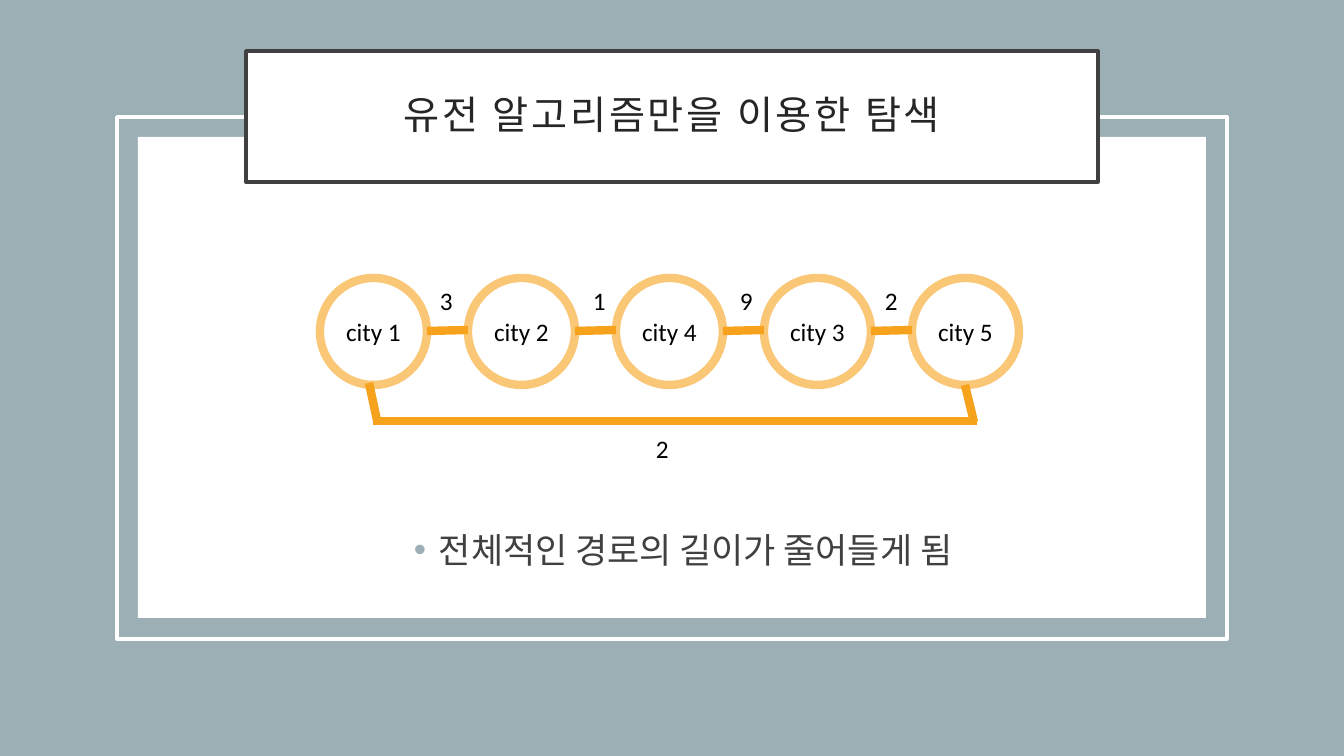
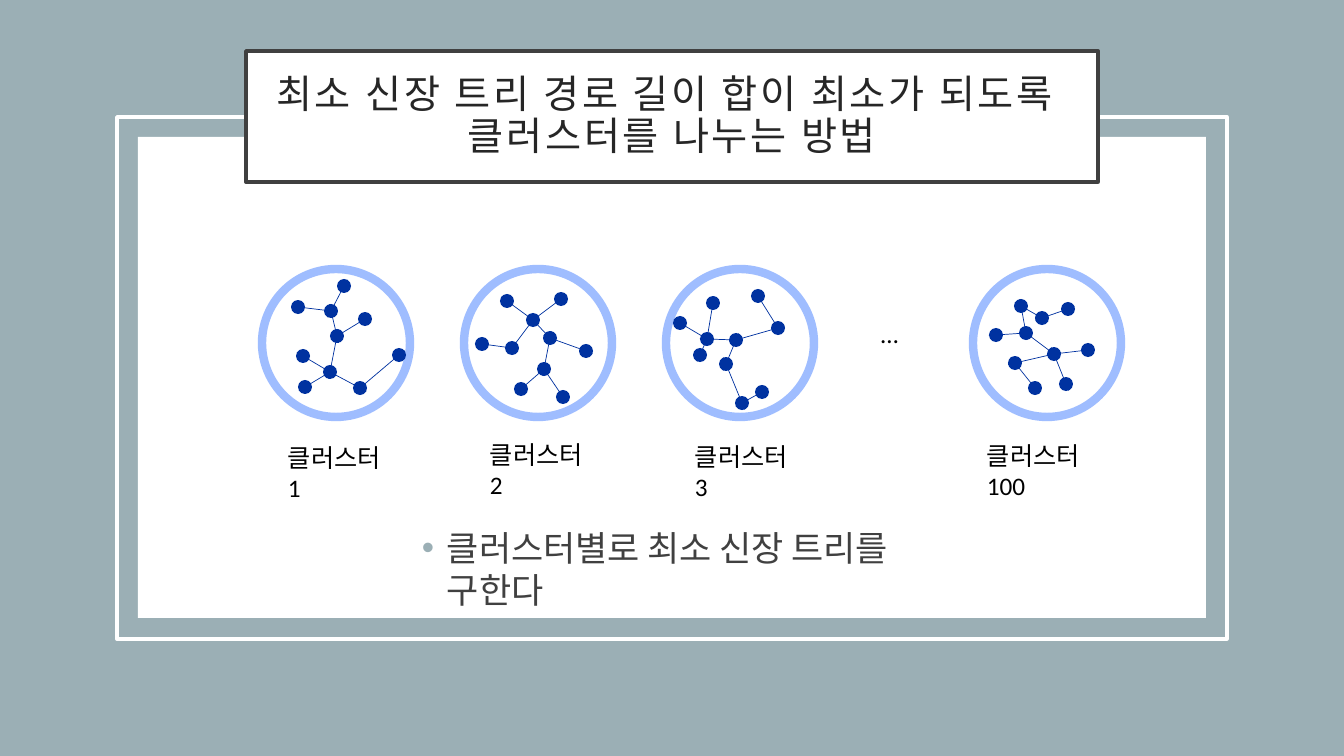
from math import hypot
from pptx import Presentation
from pptx.dml.color import RGBColor
from pptx.enum.shapes import MSO_CONNECTOR, MSO_SHAPE
from pptx.enum.text import MSO_ANCHOR, PP_ALIGN
from pptx.oxml.ns import qn
from pptx.util import Pt
from lxml.etree import SubElement

SCALE = 914400 / 100.8
FONT = "Calibri"
BACK, WHITE, BLACK = "9BAFB5", "FFFFFF", "000000"
FRAME, HEAD, BODY = "404040", "262626", "404040"
RING, ROAD = "FAC777", "F6A21D"
RIM, NAVY = "9FBDFF", "0032A0"


def px(num):
    return round(num * SCALE)


def rgb(code):
    return RGBColor.from_string(code)


def write(frame, text, size=18, color=BLACK, align=PP_ALIGN.LEFT,
          anchor=MSO_ANCHOR.TOP, wrap=True, inset=None, space=None,
          track=None, bullet=None):
    frame.word_wrap = wrap
    frame.vertical_anchor = anchor
    if inset is not None:
        frame.margin_left = frame.margin_right = px(inset)
        frame.margin_top = frame.margin_bottom = px(inset)
    para = frame.paragraphs[0]
    para.text = text
    para.alignment = align
    if space:
        para.line_spacing = space
    for run in para.runs:
        run.font.name = FONT
        run.font.size = Pt(size)
        run.font.color.rgb = rgb(color)
        if track:
            run.font._element.set("spc", str(track * 100))
    if bullet:
        para.space_before = Pt(10)
        props = para._p.get_or_add_pPr()
        props.set("marL", str(px(25)))
        props.set("indent", str(px(-25)))
        tint = SubElement(props, qn("a:buClr"))
        SubElement(tint, qn("a:srgbClr")).set("val", bullet)
        SubElement(props, qn("a:buFont")).set("typeface", "Arial")
        SubElement(props, qn("a:buChar")).set("char", "•")


class Deck:
    def __init__(self):
        self.file = Presentation()
        self.file.slide_width = px(1344)
        self.file.slide_height = px(756)
        self.slide = None

    def start(self, title):
        """Add a slide with its backdrop, frame and title box."""
        self.slide = self.file.slides.add_slide(self.file.slide_layouts[6])
        self.shape(0, 0, 1344, 756, fill=BACK)
        self.shape(138, 137, 1068, 481, fill=WHITE)
        self.shape(117, 117, 1110, 522, line=WHITE, width=2.5)
        box = self.shape(246, 51, 852, 131, fill=WHITE, line=FRAME, width=2.5)
        write(box.text_frame, title, size=28, color=HEAD, inset=20,
              align=PP_ALIGN.CENTER, anchor=MSO_ANCHOR.MIDDLE,
              space=0.9, track=2)

    def shape(self, x, y, w, h, kind=MSO_SHAPE.RECTANGLE, fill=None,
              line=None, width=1):
        item = self.slide.shapes.add_shape(kind, px(x), px(y), px(w), px(h))
        item.shadow.inherit = False
        if fill:
            item.fill.solid()
            item.fill.fore_color.rgb = rgb(fill)
        else:
            item.fill.background()
        if line:
            item.line.color.rgb = rgb(line)
            item.line.width = Pt(width)
        else:
            item.line.fill.background()
        return item

    def disc(self, x, y, size, **look):
        return self.shape(x, y, size, size, kind=MSO_SHAPE.OVAL, **look)

    def line(self, x1, y1, x2, y2, color, width):
        item = self.slide.shapes.add_connector(
            MSO_CONNECTOR.STRAIGHT, px(x1), px(y1), px(x2), px(y2))
        item.line.color.rgb = rgb(color)
        item.line.width = Pt(width)
        SubElement(item._element.spPr, qn("a:effectLst"))

    def label(self, x, y, w, h, text, **form):
        box = self.slide.shapes.add_textbox(px(x), px(y), px(w), px(h))
        write(box.text_frame, text, **form)

    def point(self, x, y, w, text):
        self.label(x, y, w, 64, text, size=25, color=BODY, bullet=BACK)

    def tree(self, dots, links, size=14):
        """Draw dots by centre, and links that reach their far rims."""
        half = size / 2
        for x, y in dots:
            self.disc(x - half, y - half, size, fill=NAVY)
        for start, end in links:
            (x1, y1), (x2, y2) = dots[start], dots[end]
            span = hypot(x2 - x1, y2 - y1)
            dx, dy = half * (x2 - x1) / span, half * (y2 - y1) / span
            self.line(x1 - dx, y1 - dy, x2 + dx, y2 + dy, NAVY, 0.5)


deck = Deck()

# Slide 1: a tour of five cities
deck.start("유전 알고리즘만을 이용한 탐색")
deck.point(404, 524, 560, "전체적인 경로의 길이가 줄어들게 됨")

LEFT, STEP, SIZE = 320, 148, 107
for i, city in enumerate((1, 2, 4, 3, 5)):
    ring = deck.disc(LEFT + i * STEP, 278, SIZE, fill=WHITE, line=RING, width=6)
    write(ring.text_frame, f"city {city}", align=PP_ALIGN.CENTER,
          anchor=MSO_ANCHOR.MIDDLE)

# Roads and their lengths
for i in range(4):
    deck.line(LEFT + SIZE + i * STEP, 331, LEFT + (i + 1) * STEP, 330, ROAD, 6)
for ends in ((373, 421, 977, 421), (974, 422, 965, 385), (377, 420, 369, 383)):
    deck.line(*ends, ROAD, 6)
for x, y, cost in ((430, 280, 3), (583, 280, 1), (730, 280, 9),
                   (875, 280, 2), (646, 428, 2)):
    deck.label(x, y, 33, 40, str(cost), wrap=False)

# Slide 2: clusters with a spanning tree each
deck.start("최소 신장 트리 경로 길이 합이 최소가 되도록 \v클러스터를 나누는 방법")

# Each cluster: rim left, label place and width, number, dots, links
CLUSTERS = (
    (262, (278, 437, 116), 1,
     ((298, 307), (337, 336), (303, 356), (344, 286), (331, 311),
      (330, 372), (305, 387), (365, 319), (360, 388), (399, 355)),
     ((0, 4), (3, 4), (4, 1), (7, 1), (1, 5), (2, 5), (5, 6), (5, 8), (8, 9))),
    (464, (480, 434, 116), 2,
     ((512, 348), (533, 320), (482, 344), (561, 299), (507, 301),
      (544, 369), (521, 389), (550, 338), (563, 397), (586, 351)),
     ((4, 1), (0, 1), (1, 3), (1, 7), (2, 0), (7, 9), (7, 5), (5, 8), (5, 6))),
    (666, (685, 436, 116), 3,
     ((680, 323), (736, 340), (707, 339), (758, 296), (713, 303),
      (726, 364), (700, 355), (778, 328), (742, 403), (762, 392)),
     ((0, 2), (6, 2), (2, 4), (2, 1), (1, 5), (7, 3), (7, 1), (5, 8), (8, 9))),
    (973, (977, 435, 141), 100,
     ((996, 335), (1026, 333), (1015, 363), (1042, 318), (1021, 306),
      (1066, 384), (1035, 388), (1068, 309), (1054, 354), (1088, 350)),
     ((0, 1), (4, 1), (4, 3), (3, 7), (1, 8), (2, 8), (2, 6), (8, 9), (8, 5))),
)
for left, (x, y, w), num, dots, links in CLUSTERS:
    deck.disc(left, 269, 148, line=RIM, width=6)
    deck.tree(dots, links)
    deck.label(x, y, w, 40, f"클러스터 {num}")
deck.label(871, 313, 45, 40, "…", wrap=False)
deck.point(412, 522, 521, "클러스터별로 최소 신장 트리를 구한다")

deck.file.save("out.pptx")
